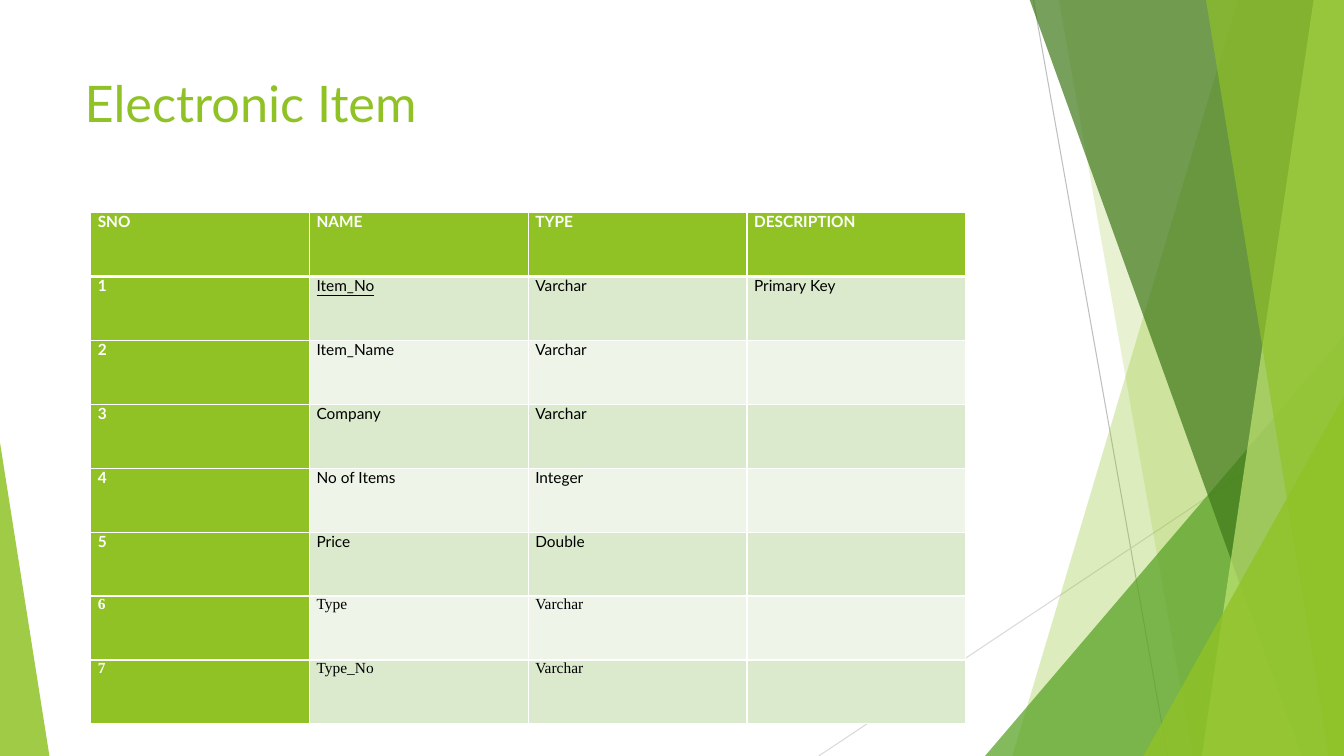
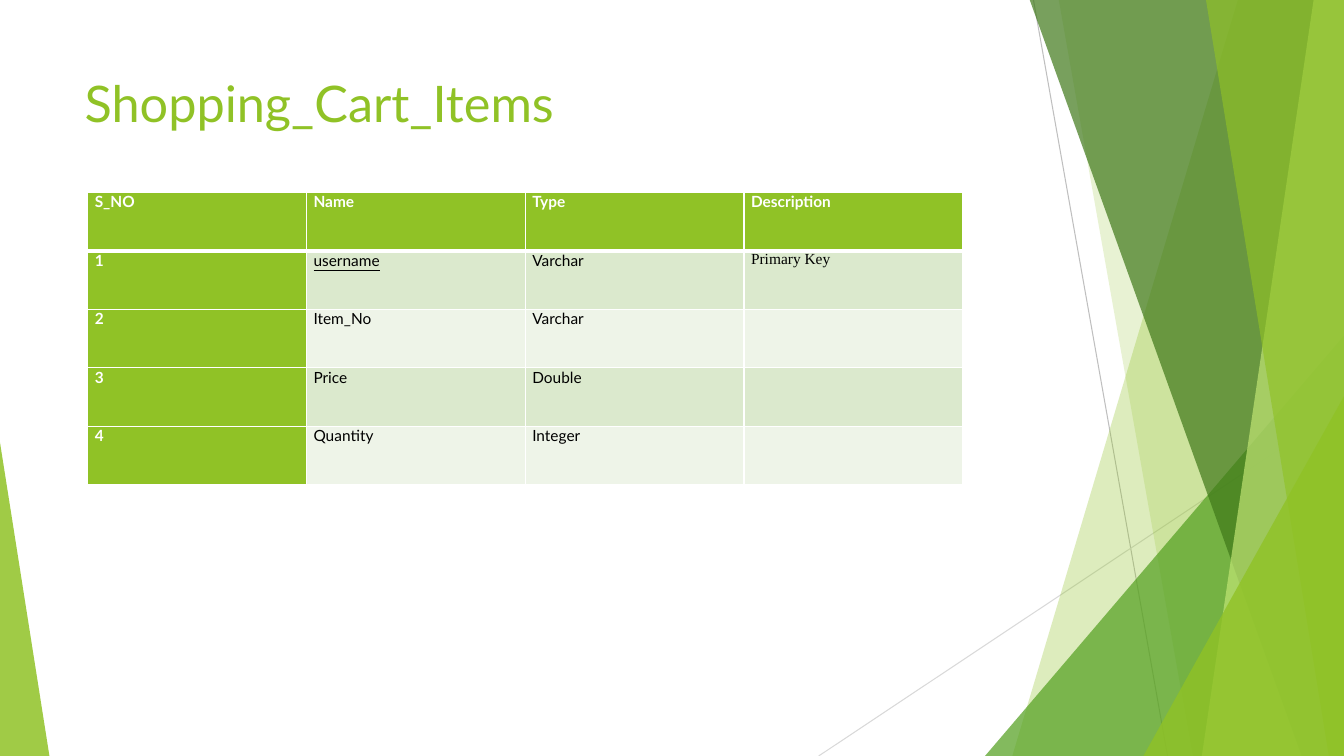
import dataclasses
import itertools
import typing

import lxml.etree
import pptx
import pptx.dml.color
import pptx.enum.shapes
import pptx.enum.text
import pptx.oxml.ns
import pptx.shapes.autoshape
import pptx.slide
import pptx.table
import pptx.text.text
import pptx.util

Inches = pptx.util.Inches
qn = pptx.oxml.ns.qn


@dataclasses.dataclass(frozen=True)
class Theme:
    lime: str = "90C226"
    green: str = "54A021"
    forest: str = "3F7819"
    pale_lime: str = "C0E474"
    white: str = "FFFFFF"
    black: str = "000000"
    band_dark: str = "DBE9CD"
    band_light: str = "EEF4E8"
    ray_dark: str = "BFBFBF"
    ray_light: str = "D9D9D9"
    sans: str = "Lato"
    serif: str = "Times New Roman"
    title_size: float = 36
    table_size: float = 11
    ray_width: float = 0.75
    border_width: float = 1
    header_border_width: float = 3


THEME = Theme()
SLIDE_WIDTH = 13.33
SLIDE_HEIGHT = 7.5
BLADE_TOP = -0.01
COLUMN_WIDTH = 2.17
CELL_MARGIN = 0.07


class Ray(typing.NamedTuple):
    start_x: float
    start_y: float
    end_x: float
    color: str


class Blade(typing.NamedTuple):
    top_x: float
    bottom_x: float
    color: str
    opacity: int


class Peak(typing.NamedTuple):
    left: float
    top: float
    width: float
    apex: float
    color: str
    opacity: int


@dataclasses.dataclass(frozen=True)
class TableSlide:
    title: str
    left: float
    top: float
    row_height: float
    header: tuple[str, ...]
    fields: tuple[tuple[str, ...], ...]
    serif_cells: frozenset[tuple[int, int]]


RAYS = (
    Ray(10.25, 0, 11.58, THEME.ray_dark),
    Ray(SLIDE_WIDTH, 4.03, 8.12, THEME.ray_light),
)

FACETS = (
    Blade(12.28, 10.04, THEME.lime, 30),
    Blade(10.5, 11.83, THEME.lime, 20),
    Peak(9.77, 3.33, 3.56, 1, THEME.green, 72),
    Blade(10.21, 12.91, THEME.forest, 70),
    Blade(13.03, 11.92, THEME.pale_lime, 70),
    Blade(11.96, 13.18, THEME.lime, 65),
    Peak(11.34, 3.93, 1.99, 1, THEME.lime, 80),
    Peak(0, 4.39, 0.49, 0, THEME.lime, 85),
)

TABLE_SLIDES = (
    TableSlide(
        title="Electronic Item",
        left=0.9,
        top=2.11,
        row_height=0.634,
        header=("SNO", "NAME", "TYPE", "DESCRIPTION"),
        fields=(
            ("Item_No", "Varchar", "Primary Key"),
            ("Item_Name", "Varchar", ""),
            ("Company", "Varchar", ""),
            ("No of Items", "Integer", ""),
            ("Price", "Double", ""),
            ("Type", "Varchar", ""),
            ("Type_No", "Varchar", ""),
        ),
        serif_cells=frozenset(itertools.product((6, 7), range(4))),
    ),
    TableSlide(
        title="Shopping_Cart_Items",
        left=0.87,
        top=1.91,
        row_height=0.58,
        header=("S_NO", "Name", "Type", "Description"),
        fields=(
            ("username", "Varchar", "Primary Key"),
            ("Item_No", "Varchar", ""),
            ("Price", "Double", ""),
            ("Quantity", "Integer", ""),
        ),
        serif_cells=frozenset({(1, 3)}),
    ),
)


def rgb(color: str) -> pptx.dml.color.RGBColor:
    return pptx.dml.color.RGBColor.from_string(color)


def add_run(
    paragraph: pptx.text.text._Paragraph,
    text: str,
    font_name: str,
    size: float,
    color: str,
    bold: bool = False,
    underline: bool = False,
) -> None:
    run = paragraph.add_run()
    run.text = text
    run.font.name = font_name
    run.font.size = pptx.util.Pt(size)
    run.font.bold = bold
    run.font.underline = underline
    run.font.color.rgb = rgb(color)


def draw_ray(slide: pptx.slide.Slide, ray: Ray) -> None:
    connector = slide.shapes.add_connector(
        pptx.enum.shapes.MSO_CONNECTOR.STRAIGHT,
        Inches(ray.start_x),
        Inches(ray.start_y),
        Inches(ray.end_x),
        Inches(SLIDE_HEIGHT),
    )
    connector.line.color.rgb = rgb(ray.color)
    connector.line.width = pptx.util.Pt(THEME.ray_width)
    lxml.etree.SubElement(connector.element.spPr, qn("a:effectLst"))


def add_blade(
    slide: pptx.slide.Slide, blade: Blade
) -> pptx.shapes.autoshape.Shape:
    corners = [
        (Inches(x), Inches(y))
        for x, y in (
            (blade.top_x, BLADE_TOP),
            (SLIDE_WIDTH, BLADE_TOP),
            (SLIDE_WIDTH, SLIDE_HEIGHT),
            (blade.bottom_x, SLIDE_HEIGHT),
        )
    ]
    builder = slide.shapes.build_freeform(*corners[0])
    builder.add_line_segments(corners[1:], close=True)
    return builder.convert_to_shape()


def add_peak(
    slide: pptx.slide.Slide, peak: Peak
) -> pptx.shapes.autoshape.Shape:
    shape = slide.shapes.add_shape(
        pptx.enum.shapes.MSO_SHAPE.ISOSCELES_TRIANGLE,
        Inches(peak.left),
        Inches(peak.top),
        Inches(peak.width),
        Inches(SLIDE_HEIGHT - peak.top),
    )
    shape.adjustments[0] = peak.apex
    return shape


def draw_facet(slide: pptx.slide.Slide, facet: Blade | Peak) -> None:
    if isinstance(facet, Blade):
        shape = add_blade(slide, facet)
    else:
        shape = add_peak(slide, facet)
    shape.shadow.inherit = False
    shape.line.fill.background()
    shape.fill.solid()
    shape.fill.fore_color.rgb = rgb(facet.color)
    color = shape.element.spPr.find(qn("a:solidFill")).find(qn("a:srgbClr"))
    alpha = lxml.etree.SubElement(color, qn("a:alpha"))
    alpha.set("val", str(facet.opacity * 1000))


def prepare_layout(
    layout: pptx.slide.SlideLayout, slide: pptx.slide.Slide
) -> None:
    for placeholder in list(layout.placeholders):
        kind = placeholder.placeholder_format.type
        if kind == pptx.enum.shapes.PP_PLACEHOLDER.TITLE:
            placeholder.left, placeholder.top = Inches(0.74), Inches(0.67)
            placeholder.width, placeholder.height = Inches(9.4), Inches(1.44)
        else:
            layout.shapes.element.remove(placeholder.element)
    for ray in RAYS:
        draw_ray(slide, ray)
    for facet in FACETS:
        draw_facet(slide, facet)
    title = slide.shapes.title
    decorations = [
        shape for shape in slide.shapes if shape.shape_id != title.shape_id
    ]
    for position, shape in enumerate(decorations, start=2):
        layout.shapes.element.insert(position, shape.element)


def add_title(slide: pptx.slide.Slide, text: str) -> None:
    frame = slide.shapes.title.text_frame
    frame.vertical_anchor = pptx.enum.text.MSO_ANCHOR.TOP
    paragraph = frame.paragraphs[0]
    paragraph.alignment = pptx.enum.text.PP_ALIGN.LEFT
    add_run(paragraph, text, THEME.sans, THEME.title_size, THEME.lime)


def set_borders(cell: pptx.table._Cell, row: int) -> None:
    properties = cell._tc.get_or_add_tcPr()
    for side in ("L", "R", "T", "B"):
        under_header = (row, side) in ((0, "B"), (1, "T"))
        width = THEME.header_border_width if under_header else THEME.border_width
        line = lxml.etree.SubElement(properties, qn(f"a:ln{side}"))
        line.set("w", str(pptx.util.Pt(width)))
        fill = lxml.etree.SubElement(line, qn("a:solidFill"))
        lxml.etree.SubElement(fill, qn("a:srgbClr")).set("val", THEME.white)


def add_field_table(slide: pptx.slide.Slide, content: TableSlide) -> None:
    numbered = [(str(n), *field) for n, field in enumerate(content.fields, 1)]
    rows = [content.header, *numbered]
    table = slide.shapes.add_table(
        len(rows),
        len(content.header),
        Inches(content.left),
        Inches(content.top),
        Inches(COLUMN_WIDTH * len(content.header)),
        Inches(content.row_height * len(rows)),
    ).table
    table.horz_banding = False
    for row, texts in enumerate(rows):
        table.rows[row].height = Inches(content.row_height)
        for column, text in enumerate(texts):
            cell = table.cell(row, column)
            heading = row == 0 or column == 0
            band = THEME.band_dark if row % 2 else THEME.band_light
            set_borders(cell, row)
            cell.fill.solid()
            cell.fill.fore_color.rgb = rgb(THEME.lime if heading else band)
            cell.margin_left = cell.margin_right = Inches(CELL_MARGIN)
            cell.margin_top = cell.margin_bottom = 0
            if text:
                serif = (row, column) in content.serif_cells
                add_run(
                    cell.text_frame.paragraphs[0],
                    text,
                    THEME.serif if serif else THEME.sans,
                    THEME.table_size,
                    THEME.white if heading else THEME.black,
                    bold=heading,
                    underline=(row, column) == (1, 1),
                )


def main() -> None:
    presentation = pptx.Presentation()
    presentation.slide_width = Inches(SLIDE_WIDTH)
    presentation.slide_height = Inches(SLIDE_HEIGHT)
    layout = presentation.slide_layouts[5]
    slides = [presentation.slides.add_slide(layout) for _ in TABLE_SLIDES]
    prepare_layout(layout, slides[0])
    for slide, content in zip(slides, TABLE_SLIDES):
        add_title(slide, content.title)
        add_field_table(slide, content)
    presentation.save("out.pptx")


main()
